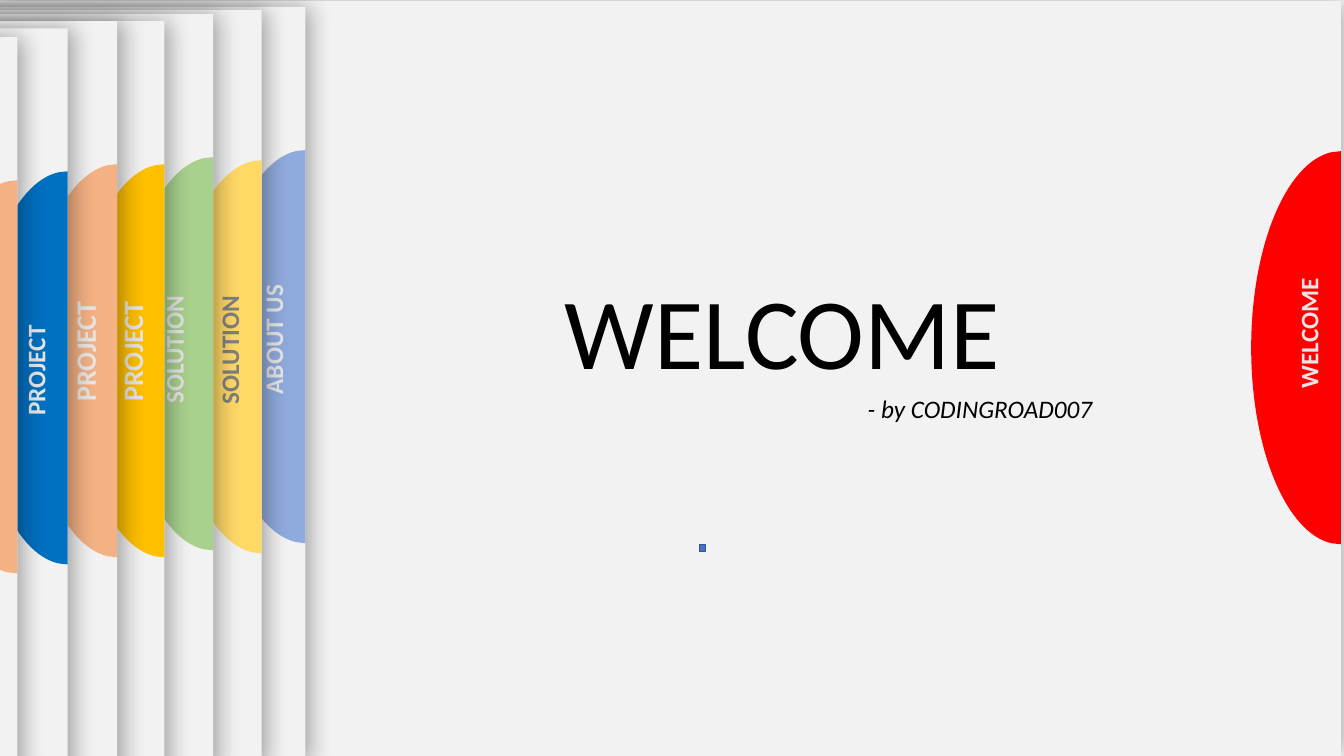
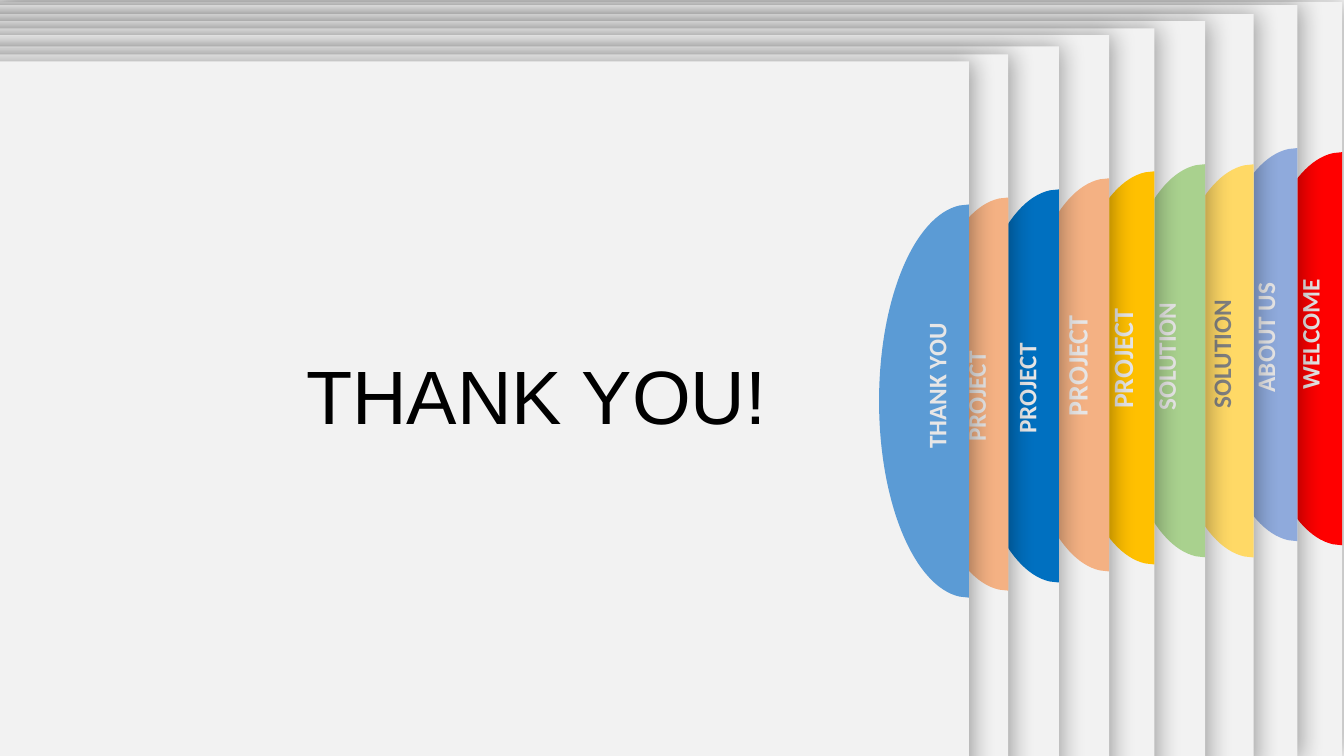
from dataclasses import dataclass

import pptx
import pptx.dml.color
import pptx.enum.shapes
import pptx.enum.text
import pptx.oxml
import pptx.oxml.ns
import pptx.util

Pt = pptx.util.Pt
RGBColor = pptx.dml.color.RGBColor
qn = pptx.oxml.ns.qn
RECT = pptx.enum.shapes.MSO_SHAPE.RECTANGLE

# Colours
PAPER = RGBColor(0xF2, 0xF2, 0xF2)
BLACK = RGBColor(0x00, 0x00, 0x00)
LIGHT = RGBColor(0xE7, 0xE6, 0xE6)
GREY = RGBColor(0x80, 0x80, 0x80)
RED = RGBColor(0xFF, 0x00, 0x00)
PERIWINKLE = RGBColor(0x8F, 0xAA, 0xDC)
YELLOW = RGBColor(0xFF, 0xD9, 0x66)
GREEN = RGBColor(0xA9, 0xD1, 0x8E)
GOLD = RGBColor(0xFF, 0xC0, 0x00)
PEACH = RGBColor(0xF4, 0xB1, 0x83)
BLUE = RGBColor(0x00, 0x70, 0xC0)
SKY = RGBColor(0x5B, 0x9B, 0xD5)
MARK = RGBColor(0x44, 0x72, 0xC4)
MARK_LINE = RGBColor(0x32, 0x54, 0x91)

# Sizes in points
WIDTH, HEIGHT = 960, 540
TAB_HEIGHT = 280.8

# Tab outline from its top right corner: a straight back, then two curves
UPPER_CURVE = [(-64.1, 67.7), (-38.9, 7.9), (-6.5, 0.7)]
LOWER_CURVE = [(-6.5, TAB_HEIGHT - 0.7), (-38.9, TAB_HEIGHT - 7.9),
               (-64.1, TAB_HEIGHT - 67.7), (-64.1, TAB_HEIGHT / 2)]
TAB_OUTLINE = [(0, TAB_HEIGHT)] + LOWER_CURVE + UPPER_CURVE
CURVE_STARTS = (2, 5)

SHADOW = (
    '<a:outerShdw xmlns:a="http://schemas.openxmlformats.org/drawingml/2006/main"'
    f' blurRad="{Pt(17)}" dist="{Pt(3)}" dir="0" algn="l" rotWithShape="0">'
    '<a:srgbClr val="000000"><a:alpha val="35000"/></a:srgbClr></a:outerShdw>')


@dataclass
class Tab:
    """A divider's tab; drop and label_end are measured from the page top."""
    label: str
    fill: RGBColor
    color: RGBColor = LIGHT
    size: float = 18
    drop: float = 102.2
    label_end: float = 283.7
    label_inset: float = 23
    label_length: float = 98.6


TABS = [
    Tab("WELCOME", RED, drop=107.3),
    Tab("ABOUT US", PERIWINKLE),
    Tab("SOLUTION", YELLOW, GREY, drop=107.3, label_end=288.7),
    Tab("SOLUTION", GREEN, label_end=285.4, label_inset=28),
    Tab("PROJECT", GOLD, size=20, label_end=279),
    Tab("PROJECT", PEACH, size=20, label_end=279),
    Tab("PROJECT", BLUE),
    Tab("PROJECT", PEACH),
    Tab("THANK YOU", SKY, label_length=131.8),
]

# Right edge and top of each page, from back to front
WELCOME_PAGES = [(957.8, 0.7), (218.2, 5), (186.9, 7.2), (152.2, 10.1),
                 (117.5, 15.1), (83.7, 15.1), (48.4, 20.2), (12.4, 26.6)]
CLOSING_PAGES = [(958.7, 1.4), (926.8, 3.6), (895.4, 10.1), (860.9, 15.1),
                 (824.6, 20.2), (792.2, 25.2), (756.4, 33.1), (720.2, 38.9),
                 (692, 43.9)]


def bend(sp, starts):
    """Turn each run of three line segments into one cubic curve."""
    lines = list(sp._element.iter(qn("a:lnTo")))
    for start in starts:
        first, *rest = lines[start:start + 3]
        curve = pptx.oxml.parse_xml(
            '<a:cubicBezTo xmlns:a='
            '"http://schemas.openxmlformats.org/drawingml/2006/main"/>')
        first.addprevious(curve)
        for line in (first, *rest):
            curve.append(line[0])
            line.getparent().remove(line)


class Deck:
    def __init__(self):
        self.prs = pptx.Presentation()
        self.prs.slide_width, self.prs.slide_height = Pt(WIDTH), Pt(HEIGHT)
        self.s = None

    def new_slide(self):
        self.s = self.prs.slides.add_slide(self.prs.slide_layouts[6])

    def paint(self, sp, fill, line=None):
        sp.shadow.inherit = False
        sp.fill.solid()
        sp.fill.fore_color.rgb = fill
        if line is None:
            sp.line.fill.background()
        else:
            sp.line.color.rgb = line
            sp.line.width = Pt(1)

    def rect(self, shapes, x, y, w, h, fill, line=None):
        sp = shapes.add_shape(RECT, Pt(x), Pt(y), Pt(w), Pt(h))
        self.paint(sp, fill, line)
        return sp

    def text(self, shapes, x, y, w, text, size, color=BLACK, font="Calibri",
             bold=False, italic=False):
        height = size * 1.22 + 7.2
        sp = shapes.add_textbox(Pt(x), Pt(y), Pt(w), Pt(height))
        tf = sp.text_frame
        tf.word_wrap = True
        tf.auto_size = pptx.enum.text.MSO_AUTO_SIZE.SHAPE_TO_FIT_TEXT
        r = tf.paragraphs[0].add_run()
        r.text = text
        r.font.name, r.font.size = font, Pt(size)
        r.font.bold, r.font.italic = bold, italic
        r.font.color.rgb = color
        return sp

    def page(self, tab, right, top):
        """A shadowed sheet with a rounded tab and an upright label."""
        shapes = self.s.shapes.add_group_shape().shapes
        # Sheet
        sheet = self.rect(shapes, right - WIDTH, top, WIDTH, HEIGHT, PAPER)
        effects = sheet._element.spPr.find(qn("a:effectLst"))
        effects.append(pptx.oxml.parse_xml(SHADOW))
        # Tab
        tab_top = top + tab.drop
        fb = shapes.build_freeform(Pt(right), Pt(tab_top))
        fb.add_line_segments([(Pt(right + x), Pt(tab_top + y))
                              for x, y in TAB_OUTLINE], close=True)
        sp = fb.convert_to_shape()
        bend(sp, CURVE_STARTS)
        self.paint(sp, tab.fill)
        # Label, reading upwards from label_end
        sp = self.text(shapes, 0, 0, tab.label_length, tab.label, tab.size,
                       tab.color, bold=True)
        sp.rotation = 270
        sp.left = Pt(right - tab.label_inset) - sp.width // 2
        sp.top = Pt(top + tab.label_end) - (sp.width + sp.height) // 2
        return shapes

    def pages(self, places):
        return [self.page(tab, *place) for tab, place in zip(TABS, places)]


def main():
    deck = Deck()

    # Welcome
    deck.new_slide()
    back_page = deck.pages(WELCOME_PAGES)[0]
    deck.rect(back_page, 499.7, 388.8, 4.3, 5, MARK, MARK_LINE)
    deck.text(deck.s.shapes, 396.5, 188.4, 358.8, "WELCOME", 72)
    deck.text(deck.s.shapes, 612.7, 277.2, 232.6, "- by CODINGROAD007", 18,
              italic=True)

    # Thank you
    deck.new_slide()
    deck.pages(CLOSING_PAGES)
    deck.text(deck.s.shapes, 211.7, 245.8, 460, "THANK YOU!", 54, font="Arial")

    deck.prs.save("out.pptx")


if __name__ == "__main__":
    main()
